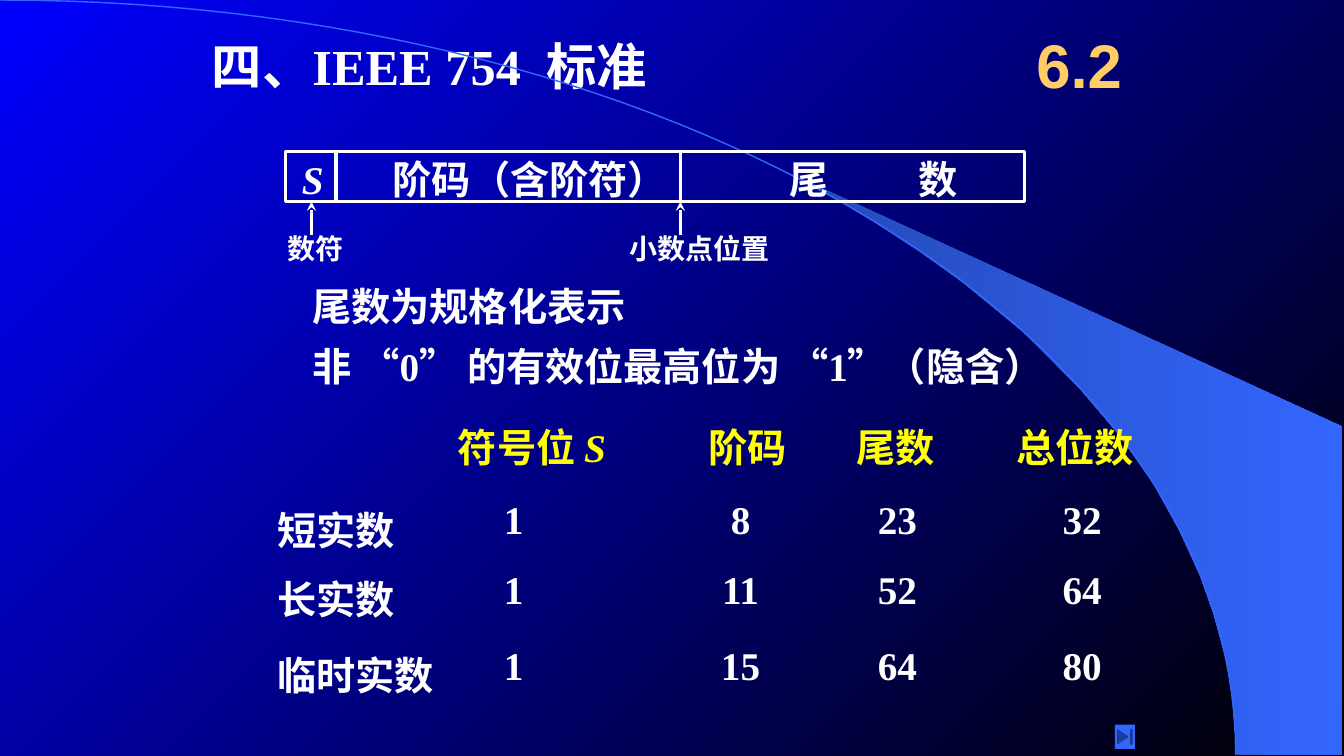
import lxml.etree
import pptx
import pptx.chart.data
import pptx.dml.color
import pptx.enum.shapes
import pptx.enum.text
import pptx.oxml
import pptx.oxml.ns
import pptx.util

Pt = pptx.util.Pt
qn = pptx.oxml.ns.qn
ALIGN = pptx.enum.text.PP_ALIGN
ANCHOR = pptx.enum.text.MSO_ANCHOR
SHAPE = pptx.enum.shapes.MSO_SHAPE

COLORS = {
    "white": "FFFFFF", "yellow": "FFFF00", "orange": "FFCC66", "blue": "3366FF",
    "swoosh": "2449B6", "sky": "0000FF", "night": "000000",
}
TITLE = "四、IEEE 754  标准"
SECTION = "6.2"
FIELDS = [("S", 208.5), ("阶码（含阶符）", 273.5), ("尾", 557), ("数", 649)]
MARKERS = [("数符", 198, 222.5), ("小数点位置", 442.8, 486)]
RULES = [
    ("尾数为规格化表示", 198, 240),
    ("非 “0” 的有效位最高位为 “1”（隐含）", 241.2, 546.5),
]
FORMATS = [
    ("", "符号位 S", "阶码", "尾数", "总位数"),
    ("短实数", "1", "8", "23", "32"),
    ("长实数", "1", "11", "52", "64"),
    ("临时实数", "1", "15", "64", "80"),
]
COLUMN_EDGES = [191, 320, 475, 585, 700, 830]
HEADER_CENTERS = [380, 534, 640, 768]
VALUE_CENTERS = [367, 529, 641, 773]
ROW_TOPS = [294.5, 353.5, 403.2, 457.2, 498.2]
ARC = [(0, 0), (487.4, 0), (882.7, 241.2), (882.7, 539.3)]
ARC_STEPS = 60
SWOOSH = [
    (883.4, 538.6), (958.3, 539.3), (958.3, 304.6), (565.9, 124.6), (599, 143.3),
    (626.4, 159.8), (657.4, 180), (687.6, 201.6), (731.5, 237.6), (770.4, 276.5),
    (799.2, 310.3), (823.7, 344.9), (843.1, 380.2), (857.5, 411.8), (866.9, 438.5),
    (876.2, 472.3), (880.6, 501.1),
]
FRAME_LEFT, FRAME_TOP, FRAME_WIDTH, FRAME_HEIGHT = 204, 108, 528, 36
FRAME_BOTTOM = FRAME_TOP + FRAME_HEIGHT
DIVIDERS = [240, 486]


def rgb(name):
    return pptx.dml.color.RGBColor.from_string(COLORS[name])


def write(frame, text, size=28, color="white", font="Times New Roman",
          italic=None, align=ALIGN.LEFT, anchor=ANCHOR.TOP, wrap=False):
    frame.word_wrap = wrap
    frame.vertical_anchor = anchor
    paragraph = frame.paragraphs[0]
    paragraph.alignment = align
    for piece in text.partition(italic) if italic else [text]:
        if piece:
            run = paragraph.add_run()
            run.text = piece
            run.font.size = Pt(size)
            run.font.name = font
            run.font.bold = True
            run.font.italic = piece == italic
            run.font.color.rgb = rgb(color)


def add_text(slide, text, left, top, width, height=41, **style):
    box = slide.shapes.add_textbox(Pt(left), Pt(top), Pt(width), Pt(height))
    write(box.text_frame, text, **style)


def shade(fill, start, end, angle):
    fill.gradient()
    fill.gradient_angle = angle
    for stop, name, position in zip(fill.gradient_stops, (start, end), (0, 1)):
        stop.color.rgb = rgb(name)
        stop.position = position


def add_outline(slide, points, close):
    corners = [(Pt(x), Pt(y)) for x, y in points]
    builder = slide.shapes.build_freeform(*corners[0], scale=1.0)
    builder.add_line_segments(corners[1:], close=close)
    outline = builder.convert_to_shape()
    outline.shadow.inherit = False
    return outline


def add_line(slide, x, start, end, arrow=False):
    line = slide.shapes.add_connector(
        pptx.enum.shapes.MSO_CONNECTOR.STRAIGHT, Pt(x), Pt(start), Pt(x), Pt(end))
    line.line.color.rgb = rgb("white")
    line.line.width = Pt(2.25)
    if arrow:
        tip = lxml.etree.SubElement(line.line._get_or_add_ln(), qn("a:tailEnd"))
        tip.set("type", "stealth")
    lxml.etree.SubElement(line._element.spPr, qn("a:effectLst"))


def arc_point(t):
    weights = ((1 - t) ** 3, 3 * t * (1 - t) ** 2, 3 * t ** 2 * (1 - t), t ** 3)
    return tuple(sum(w * p[axis] for w, p in zip(weights, ARC)) for axis in (0, 1))


def add_backdrop(slide):
    shade(slide.background.fill, "sky", "night", 315)
    swoosh = add_outline(slide, SWOOSH, True)
    shade(swoosh.fill, "swoosh", "blue", 0)
    swoosh.line.fill.background()
    arc = add_outline(slide, [arc_point(i / ARC_STEPS) for i in range(ARC_STEPS + 1)], False)
    arc.fill.background()
    arc.line.color.rgb = rgb("blue")
    arc.line.width = Pt(1)


def add_word_layout(slide):
    frame = slide.shapes.add_shape(
        SHAPE.RECTANGLE, Pt(FRAME_LEFT), Pt(FRAME_TOP), Pt(FRAME_WIDTH), Pt(FRAME_HEIGHT))
    frame.shadow.inherit = False
    frame.fill.background()
    frame.line.color.rgb = rgb("white")
    frame.line.width = Pt(2.25)
    for x in DIVIDERS:
        add_line(slide, x, FRAME_TOP, FRAME_BOTTOM)
    for field, left in FIELDS:
        add_text(slide, field, left, 107.3, 14.4 + 28 * len(field), italic="S")
    for marker, left, x in MARKERS:
        add_text(slide, marker, left, 162, 14.4 + 20 * len(marker), 31, size=20)
        add_line(slide, x, FRAME_BOTTOM + 24, FRAME_BOTTOM, arrow=True)


def add_formats(slide):
    table = slide.shapes.add_table(
        len(FORMATS), len(FORMATS[0]), Pt(COLUMN_EDGES[0]), Pt(ROW_TOPS[0]),
        Pt(COLUMN_EDGES[-1] - COLUMN_EDGES[0]), Pt(ROW_TOPS[-1] - ROW_TOPS[0])).table
    table.first_row = table.horz_banding = False
    table._tbl.tblPr.find(qn("a:tableStyleId")).text = "{2D5ABB26-0587-4C30-8999-92F81FD0307C}"
    spans = list(zip(COLUMN_EDGES, COLUMN_EDGES[1:]))
    for column, (left, right) in zip(table.columns, spans):
        column.width = Pt(right - left)
    for r, entries in enumerate(FORMATS):
        table.rows[r].height = Pt(ROW_TOPS[r + 1] - ROW_TOPS[r])
        centers = VALUE_CENTERS if r else HEADER_CENTERS
        for c, entry in enumerate(entries):
            cell = table.cell(r, c)
            left, right = spans[c]
            shift = 2 * centers[c - 1] - left - right if c else 7.2
            cell.margin_left, cell.margin_right = Pt(max(0, shift)), Pt(max(0, -shift))
            for side in ("a:lnL", "a:lnR", "a:lnT", "a:lnB"):
                border = lxml.etree.SubElement(cell._tc.get_or_add_tcPr(), qn(side))
                lxml.etree.SubElement(border, qn("a:noFill"))
            cell.fill.background()
            write(cell.text_frame, entry, color="white" if r else "yellow", italic="S",
                  align=ALIGN.CENTER if c else ALIGN.LEFT, wrap=True)


def main():
    deck = pptx.Presentation()
    deck.slide_width, deck.slide_height = Pt(960), Pt(540)
    slide = deck.slides.add_slide(deck.slide_layouts[5])
    add_backdrop(slide)
    title = slide.shapes.title
    title.left, title.top, title.width, title.height = Pt(144), Pt(21.6), Pt(378), Pt(50.4)
    write(title.text_frame, TITLE, size=36, wrap=True)
    add_text(slide, SECTION, 725.8, 12.2, 90, 66.2, size=44, color="orange", font="Arial",
             align=ALIGN.CENTER, anchor=ANCHOR.MIDDLE, wrap=True)
    add_word_layout(slide)
    for rule, top, width in RULES:
        add_text(slide, rule, 216, top, width, wrap=True)
    add_formats(slide)
    button = slide.shapes.add_shape(
        SHAPE.ACTION_BUTTON_END, Pt(796.3), Pt(517.7), Pt(14.4), Pt(17.3))
    button.shadow.inherit = False
    button.fill.solid()
    button.fill.fore_color.rgb = rgb("blue")
    button.line.fill.background()
    deck.save("out.pptx")


if __name__ == "__main__":
    main()
